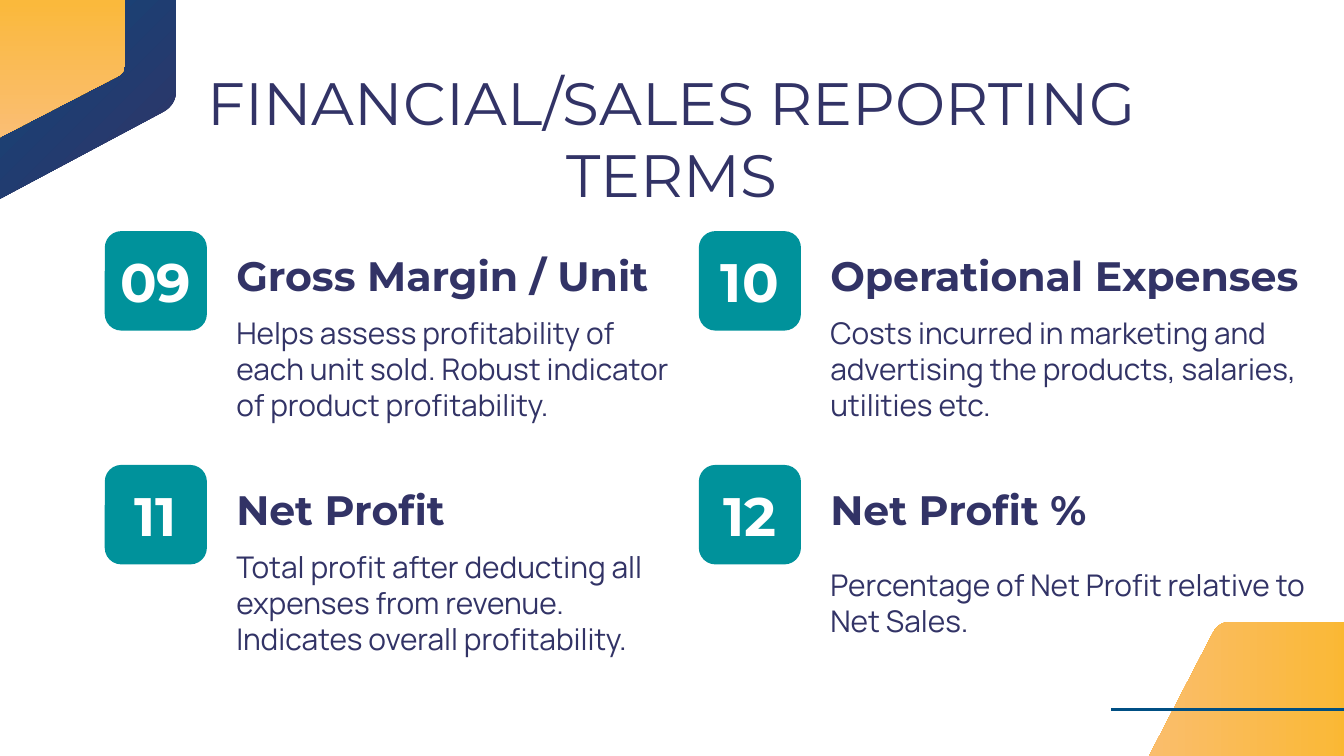
import pptx
import pptx.dml.color
import pptx.enum.shapes
import pptx.enum.text
import pptx.oxml
import pptx.oxml.ns
import pptx.util
from pptx.util import Inches

NAVY, TEAL, BLUE, WHITE = "323366", "00929B", "004F83", "FFFFFF"
GOLD_STOPS = [(0, "FAB403"), (34, "FAB93C"), (100, "FABE75")]
NAVY_STOPS = [(0, NAVY), (63, "194175"), (100, BLUE)]
ALIGN = pptx.enum.text.PP_ALIGN
ANCHOR = pptx.enum.text.MSO_ANCHOR
SHAPE = pptx.enum.shapes.MSO_SHAPE

COLUMNS = (0.78, 5.2)
ROWS = (1.72, 3.46)
BADGE_W, BADGE_H = 0.76, 0.74

# number, heading, heading width, description, description width
TERMS = [
    ("09", "Gross Margin / Unit", 3.71,
     "Helps assess profitability of each unit sold. "
     "Robust indicator of product profitability.", 3.54),
    ("10", "Operational Expenses", 4.21,
     "Costs incurred in marketing and advertising the products, "
     "salaries, utilities etc.", 4.04),
    ("11", "Net Profit", 2.55,
     "Total profit after deducting all expenses from revenue. "
     "Indicates overall profitability.", 3.34),
    ("12", "Net Profit %", 3.82,
     "Percentage of Net Profit relative to Net Sales.", 3.82),
]


def rgb(color):
    return pptx.dml.color.RGBColor.from_string(color)


def curve(p0, p1, p2, p3, steps=8):
    """Return points along a cubic Bezier curve."""
    points = []
    for i in range(steps + 1):
        t = i / steps
        weights = ((1 - t) ** 3, 3 * t * (1 - t) ** 2, 3 * t * t * (1 - t), t ** 3)
        points.append(tuple(sum(w * p[axis] for w, p in zip(weights, (p0, p1, p2, p3)))
                            for axis in (0, 1)))
    return points


def fill_gradient(s, stops, angle):
    """Fill with a linear gradient; the angle runs clockwise in degrees."""
    s.fill.gradient()
    grad = s._element.spPr.find(pptx.oxml.ns.qn("a:gradFill"))
    gs = "".join(f'<a:gs pos="{pos * 1000}"><a:srgbClr val="{color}"/></a:gs>'
                 for pos, color in stops)
    new = pptx.oxml.parse_xml(
        f'<a:gradFill {pptx.oxml.ns.nsdecls("a")} rotWithShape="1"><a:gsLst>{gs}</a:gsLst>'
        f'<a:lin ang="{angle * 60000}" scaled="0"/></a:gradFill>')
    grad.getparent().replace(grad, new)


def add_panel(slide, points, stops, angle):
    start, *rest = [(Inches(x), Inches(y)) for x, y in points]
    builder = slide.shapes.build_freeform(*start)
    builder.add_line_segments(rest, close=True)
    s = builder.convert_to_shape()
    s.shadow.inherit = False
    s.line.fill.background()
    fill_gradient(s, stops, angle)


def add_rule(slide, x1, x2, y):
    s = slide.shapes.add_connector(pptx.enum.shapes.MSO_CONNECTOR.STRAIGHT,
                                   Inches(x1), Inches(y), Inches(x2), Inches(y))
    s.line.color.rgb = rgb(BLUE)
    s.line.width = pptx.util.Pt(1.5)
    s._element.spPr.append(pptx.oxml.parse_xml(
        f'<a:effectLst {pptx.oxml.ns.nsdecls("a")}/>'))


def add_text(slide, text, box, size, font="Montserrat", color=NAVY, bold=False,
             align=ALIGN.LEFT, anchor=ANCHOR.MIDDLE):
    s = slide.shapes.add_textbox(*map(Inches, box))
    tf = s.text_frame
    tf.word_wrap = True
    tf.vertical_anchor = anchor
    tf.margin_left = tf.margin_right = tf.margin_top = tf.margin_bottom = Inches(0.1)
    p = tf.paragraphs[0]
    p.alignment = align
    r = p.add_run()
    r.text = text
    r.font.name = font
    r.font.size = pptx.util.Pt(size)
    r.font.bold = bold
    r.font.color.rgb = rgb(color)


def add_badge(slide, number, x, y):
    s = slide.shapes.add_shape(SHAPE.ROUNDED_RECTANGLE, Inches(x), Inches(y),
                               Inches(BADGE_W), Inches(BADGE_H))
    s.adjustments[0] = 0.167
    s.shadow.inherit = False
    s.fill.solid()
    s.fill.fore_color.rgb = rgb(TEAL)
    s.line.fill.background()
    add_text(slide, number, (x, y + 0.08, BADGE_W, 0.58), 29, color=WHITE,
             bold=True, align=ALIGN.CENTER)


def add_term(slide, x, y, number, heading, heading_w, description, description_w):
    add_badge(slide, number, x, y)
    add_text(slide, heading, (x + 0.88, y + 0.04, heading_w, 0.58), 22, bold=True)
    add_text(slide, description, (x + 0.88, y + 0.76, description_w, 0.53), 16,
             font="Manrope")


def add_corners(slide):
    add_panel(slide, [(10.62, 6.05), (10.62, 4.63),
                      *curve((9.14, 4.63), (9.09, 4.63), (9.04, 4.67), (9.02, 4.72)),
                      (8.33, 6.05)], GOLD_STOPS, 180)
    add_panel(slide, [(1.31, -0.52), (-0.02, -0.52), (-0.02, 1.49),
                      *curve((1.22, 0.83), (1.27, 0.8), (1.31, 0.75), (1.31, 0.68))],
              NAVY_STOPS, 225)
    add_panel(slide, [(-0.02, -0.51), (0.93, -0.51),
                      *curve((0.93, 0.48), (0.93, 0.52), (0.91, 0.55), (0.87, 0.57)),
                      (-0.02, 1.03)], GOLD_STOPS, 90)
    add_rule(slide, 8.27, 10, 5.28)


def main():
    prs = pptx.Presentation()
    prs.slide_width = Inches(10)
    prs.slide_height = Inches(10 * 9 / 16)
    slide = prs.slides.add_slide(prs.slide_layouts[6])
    add_corners(slide)
    add_text(slide, "FINANCIAL/SALES REPORTING TERMS", (0.78, 0.39, 8.44, 0.63), 32,
             align=ALIGN.CENTER, anchor=ANCHOR.TOP)
    for i, term in enumerate(TERMS):
        add_term(slide, COLUMNS[i % 2], ROWS[i // 2], *term)
    prs.save("out.pptx")


if __name__ == "__main__":
    main()
